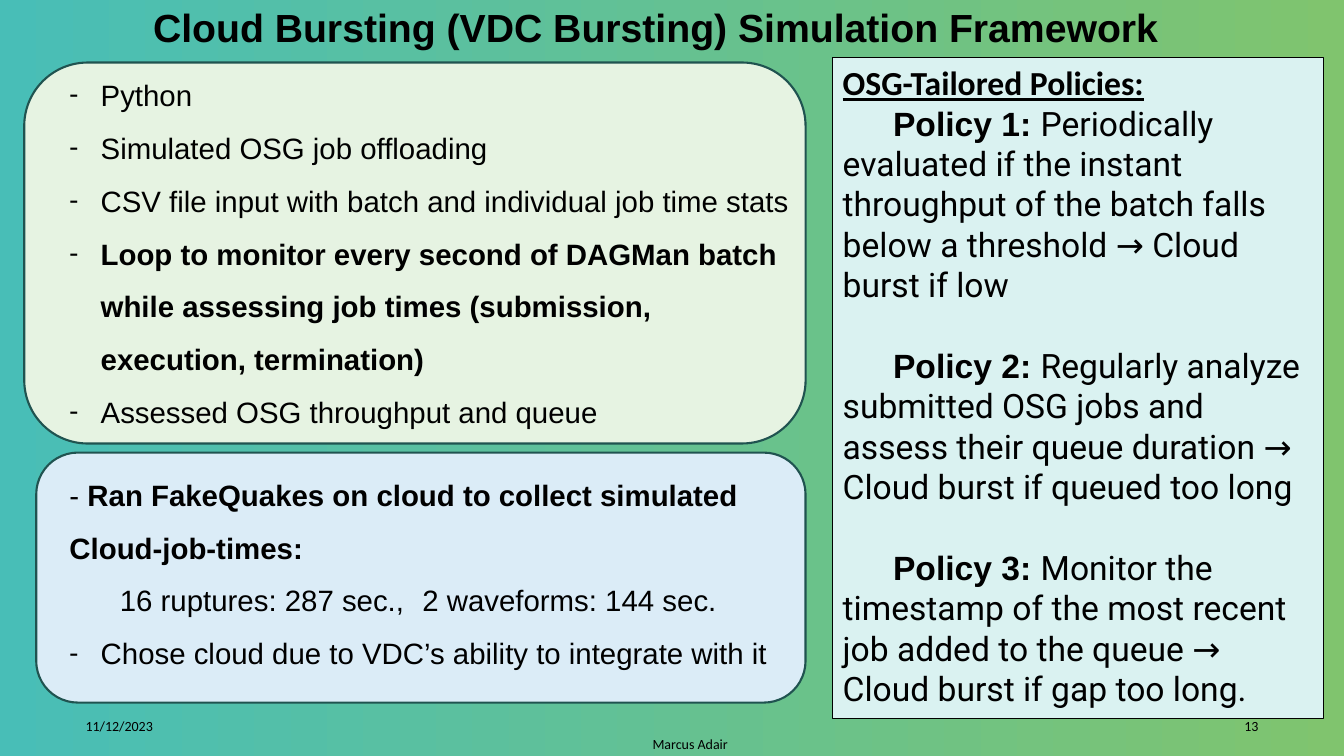
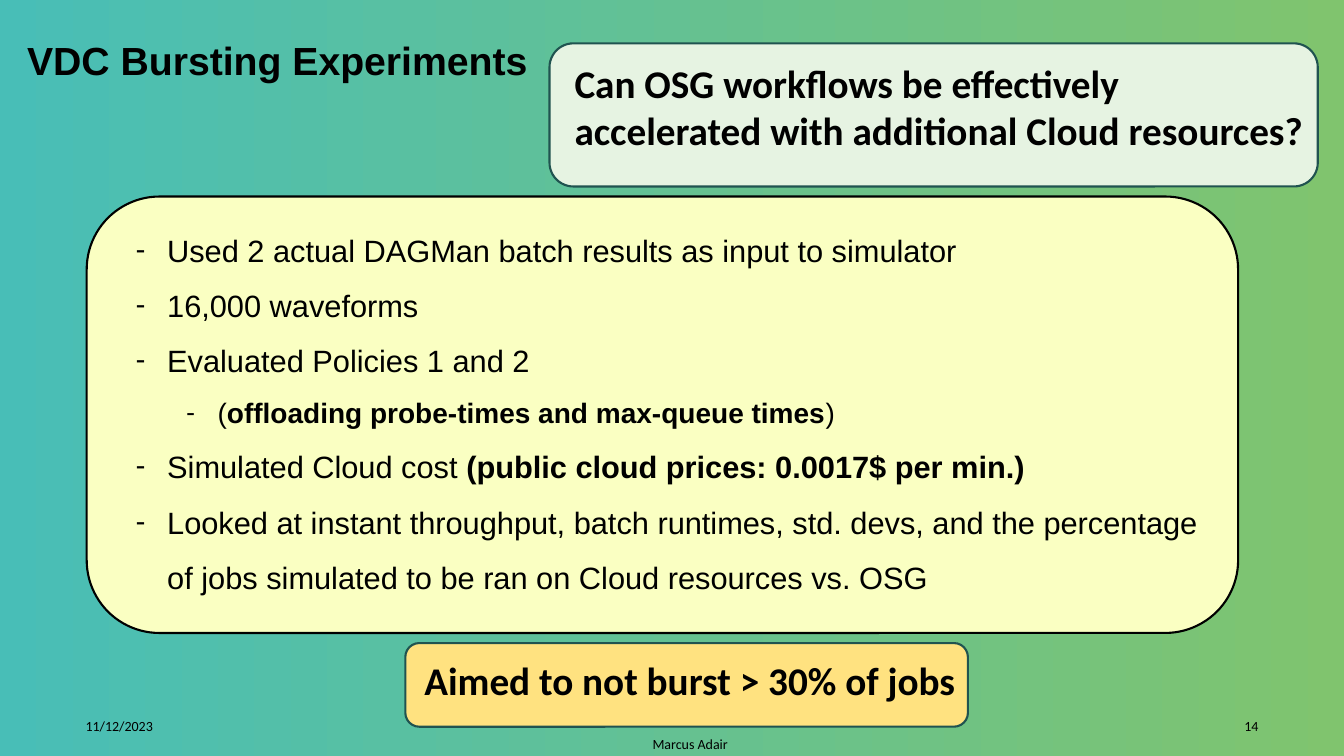
from dataclasses import dataclass
from lxml.etree import SubElement
from pptx import Presentation
from pptx.dml.color import RGBColor
from pptx.enum.shapes import MSO_SHAPE
from pptx.enum.text import MSO_ANCHOR, PP_ALIGN
from pptx.oxml.ns import qn
from pptx.util import Inches, Pt


@dataclass(frozen=True)
class Theme:
    """Colours, fonts and type sizes of the deck."""
    ink: str = "000000"
    edge: str = "205350"
    sky: tuple = ("48BEB7", "80C46E")
    green: str = "E6F3E2"
    blue: str = "DBECF7"
    aqua: str = "DAF2F1"
    lemon: str = "FAFFC2"
    gold: str = "FFE280"
    sans: str = "Arial"
    soft: str = "Calibri"
    round: str = "Roboto"
    head: int = 28
    large: int = 24
    list: int = 22
    text: int = 21
    small: int = 20
    foot: int = 10


LOOK = Theme()
BOLD = {"bold": True}
MID = {"vertical_anchor": MSO_ANCHOR.MIDDLE}


def style(item, form):
    """Set each format value on an item."""
    for key, val in form.items():
        setattr(item, key, val)


def font(name, size, **more):
    """Give the format values of a font."""
    return {"name": name, "size": Pt(size), **more}


def para(*runs, dash=False, left=0, first=0, tab=None, size=None, **form):
    """Describe one paragraph of plain or styled runs."""
    runs = [run if isinstance(run, tuple) else (run, {}) for run in runs]
    return dict(runs=runs, dash=dash, left=left, first=first, tab=tab,
                size=size, form=form)


def item(*runs, left=0.31, **more):
    """Describe a dashed paragraph with wide line spacing."""
    return para(*runs, dash=True, left=left, first=-0.31,
                line_spacing=1.5, **more)


def fill_para(line, spec, base):
    """Write a described paragraph."""
    props = line._p.get_or_add_pPr()
    props.set("marL", str(Inches(spec["left"])))
    props.set("indent", str(Inches(spec["first"])))
    if spec["dash"]:
        SubElement(props, qn("a:buFont"), typeface=LOOK.soft)
        SubElement(props, qn("a:buChar"), char="-")
    if spec["tab"]:
        tabs = SubElement(props, qn("a:tabLst"))
        SubElement(tabs, qn("a:tab"), pos=str(Inches(spec["tab"])), algn="l")
    style(line, spec["form"])
    for text, extra in spec["runs"]:
        run = line.add_run()
        run.text = text
        style(run.font, {**base, **extra})
        if spec["size"]:
            run.font.size = Pt(spec["size"])
        run.font.color.rgb = RGBColor.from_string(LOOK.ink)


def write(shape, specs, base, **form):
    """Write paragraphs into a shape."""
    frame = shape.text_frame
    style(frame, {"word_wrap": True, **form})
    for num, spec in enumerate(specs):
        line = frame.add_paragraph() if num else frame.paragraphs[0]
        fill_para(line, spec, base)


def label(slide, area, specs, base, **form):
    """Add a text box."""
    box = slide.shapes.add_textbox(*map(Inches, area))
    write(box, specs, base, **form)


def panel(slide, area, fill, edge=LOOK.edge, width=1.5,
          kind=MSO_SHAPE.ROUNDED_RECTANGLE):
    """Add a filled panel with an outline."""
    shape = slide.shapes.add_shape(kind, *map(Inches, area))
    shape.shadow.inherit = False
    shape.fill.solid()
    shape.fill.fore_color.rgb = RGBColor.from_string(fill)
    shape.line.color.rgb = RGBColor.from_string(edge)
    shape.line.width = Pt(width)
    return shape


def start(deck, title, area, page):
    """Add a slide with its backdrop, title and footer."""
    slide = deck.slides.add_slide(deck.slide_layouts[6])
    back = slide.background.fill
    back.gradient()
    back.gradient_angle = 0
    for stop, tint in zip(back.gradient_stops, LOOK.sky):
        stop.color.rgb = RGBColor.from_string(tint)
    label(slide, area, [para(title)], font(LOOK.sans, LOOK.head, **BOLD), **MID)
    feet = (
        (0.75, 7.03, 1.75, "11/12/2023", PP_ALIGN.LEFT),
        (11.98, 7.03, 0.6, str(page), PP_ALIGN.RIGHT),
        (5.97, 7.2, 1.75, "Marcus Adair", PP_ALIGN.CENTER),
    )
    for left, top, width, text, side in feet:
        label(slide, (left, top, width, 0.35), [para(text, alignment=side)],
              font(LOOK.soft, LOOK.foot), **MID)
    return slide


def frame_slide(deck):
    """Build the slide on the framework and its policies."""
    slide = start(deck, "Cloud Bursting (VDC Bursting) Simulation Framework",
                  (1.42, -0.28, 11.91, 1.09), 13)
    body = font(LOOK.sans, LOOK.text)
    panel(slide, (0.36, 4.49, 7.63, 2.48), LOOK.blue)
    panel(slide, (0.24, 0.62, 7.75, 3.78), LOOK.green)
    label(slide, (0.59, 0.73, 7.48, 3.39), [
        item("Python"),
        item("Simulated OSG job offloading"),
        item("CSV file input with batch and individual job time stats"),
        item(("Loop to monitor every second of DAGMan batch while assessing "
              "job times (submission, execution, termination)", BOLD)),
        item("Assessed OSG throughput and queue"),
    ], body, **MID)
    label(slide, (0.59, 4.07, 7.48, 3.07), [
        para("- ", ("Ran FakeQuakes on cloud to collect simulated "
                    "Cloud-job-times:", BOLD), line_spacing=1.5),
        para("16 ruptures: 287 sec., \t2 waveforms: 144 sec.",
             first=0.5, tab=3.5, line_spacing=1.5),
        item("Chose cloud due to VDC’s ability to integrate with it"),
    ], body, **MID)
    rules = (
        "Periodically evaluated if the instant throughput of the batch falls "
        "below a threshold → Cloud burst if low",
        "Regularly analyze submitted OSG jobs and assess their queue duration "
        "→ Cloud burst if queued too long",
        "Monitor the timestamp of the most recent job added to the queue → "
        "Cloud burst if gap too long.",
    )
    head = {"name": LOOK.soft, "bold": True, "underline": True}
    lines = [para(("OSG-Tailored Policies:", head), alignment=PP_ALIGN.LEFT)]
    for num, rule in enumerate(rules, 1):
        lines.append(para((f"Policy {num}: ", {"name": LOOK.sans, **BOLD}),
                          rule, first=0.5, alignment=PP_ALIGN.LEFT,
                          space_before=Pt(29 if num > 1 else 0)))
    card = panel(slide, (8.26, 0.57, 4.87, 6.56), LOOK.aqua, LOOK.ink, 0.75,
                 MSO_SHAPE.RECTANGLE)
    write(card, lines, font(LOOK.round, LOOK.large),
          vertical_anchor=MSO_ANCHOR.TOP)


def trial_slide(deck):
    """Build the slide on the experiments."""
    slide = start(deck, "VDC Bursting Experiments", (0.17, 0.12, 5.2, 0.94), 14)
    panel(slide, (4.02, 6.38, 5.58, 0.83), LOOK.gold)
    panel(slide, (5.45, 0.43, 7.62, 1.42), LOOK.green)
    panel(slide, (0.86, 1.95, 11.42, 4.33), LOOK.lemon, LOOK.ink)
    label(slide, (0.75, 2.1, 11.31, 3.82), [
        item("Used 2 actual DAGMan batch results as input to simulator",
             left=0.81),
        item("16,000 waveforms", left=0.81),
        item("Evaluated Policies 1 and 2", left=0.81),
        item("(", ("offloading probe-times and max-queue times", BOLD), ")",
             left=1.31, size=LOOK.small),
        item("Simulated Cloud cost ",
             ("(public cloud prices: 0.0017$ per min.)", BOLD), left=0.81),
        item("Looked at instant throughput, batch runtimes, std. devs, and the "
             "percentage of jobs simulated to be ran on Cloud resources vs. "
             "OSG", left=0.81),
    ], font(LOOK.sans, LOOK.list), **MID)
    loud = font(LOOK.soft, LOOK.head, **BOLD)
    label(slide, (5.6, 0.54, 7.46, 1.04), [
        para("Can OSG workflows be effectively accelerated with additional "
             "Cloud resources?")], loud)
    label(slide, (3.92, 6.46, 5.84, 0.57), [
        para("Aimed to not burst > 30% of jobs", alignment=PP_ALIGN.CENTER)],
        loud)


def main():
    """Build and save the deck."""
    deck = Presentation()
    style(deck, {"slide_width": Inches(13.33), "slide_height": Inches(7.5)})
    frame_slide(deck)
    trial_slide(deck)
    deck.save("out.pptx")


if __name__ == "__main__":
    main()
